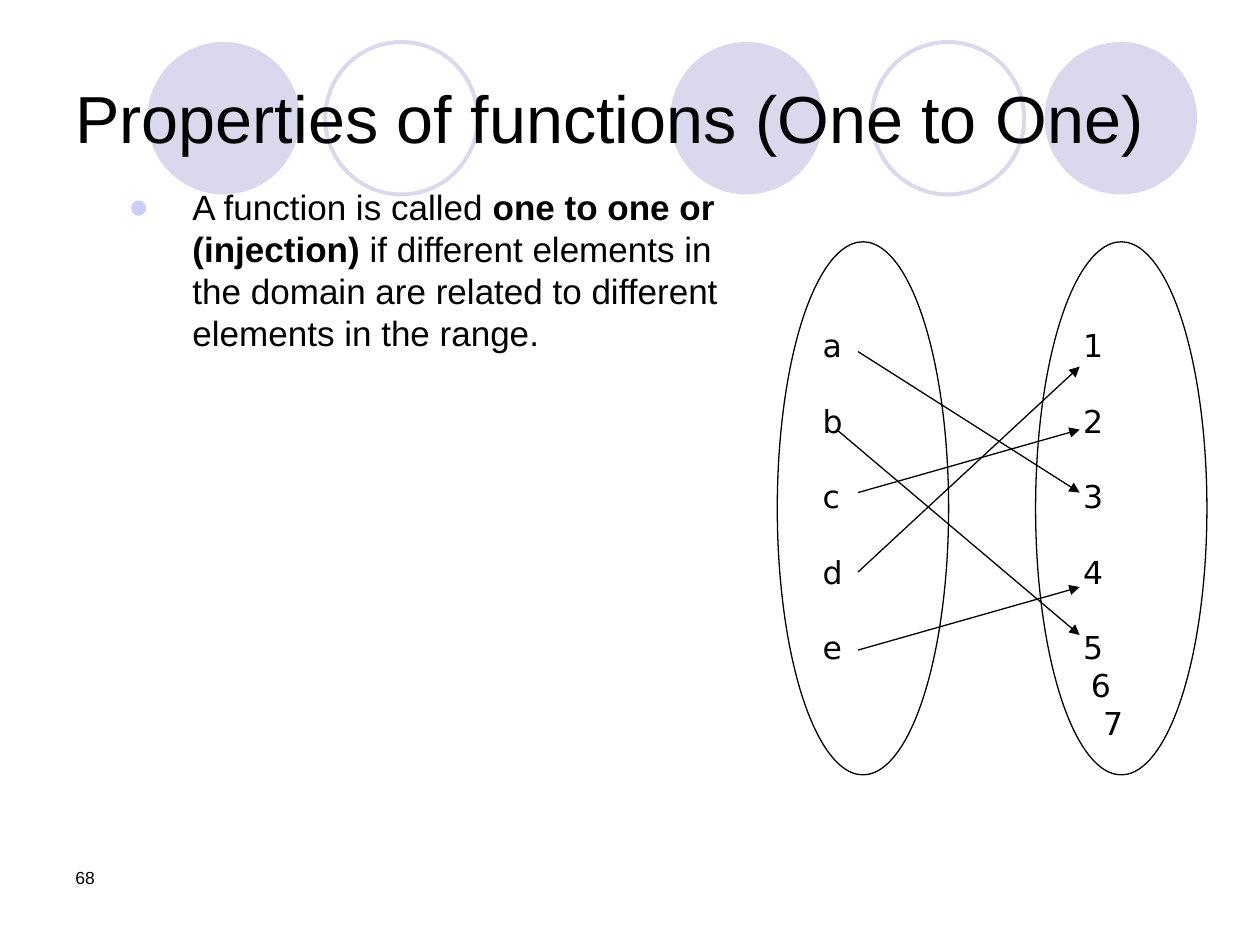
from dataclasses import dataclass

from lxml.etree import SubElement
from pptx import Presentation
from pptx.dml.color import RGBColor as Rgb
from pptx.enum.shapes import MSO_CONNECTOR as Link, MSO_SHAPE as Kind
from pptx.enum.text import MSO_ANCHOR as Anchor, PP_ALIGN as Align
from pptx.oxml.ns import qn
from pptx.util import Pt


@dataclass(frozen=True)
class Theme:
    ink: str = "000000"
    paper: str = "FFFFFF"
    lilac: str = "D9D8EC"
    dot: str = "CCCCFF"
    sans: str = "Arial"
    label: str = "DejaVu Sans"
    title: float = 38
    body: float = 20
    item: float = 18
    small: float = 10
    thin: float = 0.75
    ring: float = 2.25


def write(para, text, font, size, color, bold=False):
    run = para.add_run()
    run.text = text
    run.font.name = font
    run.font.size = Pt(size)
    run.font.bold = bold
    run.font.color.rgb = Rgb.from_string(color)


class Page:
    def __init__(self, slide, theme):
        self.slide = slide
        self.theme = theme

    def oval(self, x, y, w, h, fill=None, line=None, width=0):
        shape = self.slide.shapes.add_shape(Kind.OVAL, Pt(x), Pt(y), Pt(w), Pt(h))
        shape.shadow.inherit = False
        if fill:
            shape.fill.solid()
            shape.fill.fore_color.rgb = Rgb.from_string(fill)
        else:
            shape.fill.background()
        if line:
            shape.line.color.rgb = Rgb.from_string(line)
            shape.line.width = Pt(width)
        else:
            shape.line.fill.background()
        return shape

    def text(self, x, y, w, h, runs, size, anchor=Anchor.TOP):
        box = self.slide.shapes.add_textbox(Pt(x), Pt(y), Pt(w), Pt(h))
        frame = box.text_frame
        frame.word_wrap = True
        frame.vertical_anchor = anchor
        para = frame.paragraphs[0]
        for words, bold in runs:
            write(para, words, font=self.theme.sans, size=size,
                  color=self.theme.ink, bold=bold)
        return para

    def bullet(self, para, indent, pitch):
        para.line_spacing = Pt(pitch)
        props = para._p.get_or_add_pPr()
        props.set("marL", str(Pt(indent)))
        props.set("indent", str(-Pt(indent)))
        tint = SubElement(props, qn("a:buClr"))
        SubElement(tint, qn("a:srgbClr")).set("val", self.theme.dot)
        SubElement(props, qn("a:buFont")).set("typeface", self.theme.sans)
        SubElement(props, qn("a:buChar")).set("char", "●")

    def group(self, x, y, w, h, items, pitch):
        theme = self.theme
        shape = self.oval(x, y, w, h, theme.paper, theme.ink, theme.thin)
        frame = shape.text_frame
        frame.word_wrap = True
        frame.vertical_anchor = Anchor.TOP
        for i, (name, indent, gap) in enumerate(items):
            para = frame.add_paragraph() if i else frame.paragraphs[0]
            para.alignment = Align.LEFT
            para.line_spacing = Pt(pitch)
            para.space_before = Pt(gap)
            para._p.get_or_add_pPr().set("marL", str(Pt(indent)))
            write(para, name, font=theme.label, size=theme.item, color=theme.ink)

    def arrow(self, x1, y1, x2, y2):
        line = self.slide.shapes.add_connector(
            Link.STRAIGHT, Pt(x1), Pt(y1), Pt(x2), Pt(y2))
        line.line.color.rgb = Rgb.from_string(self.theme.ink)
        line.line.width = Pt(self.theme.thin)
        SubElement(line.line._get_or_add_ln(), qn("a:tailEnd")).set("type", "triangle")
        SubElement(line._element.spPr, qn("a:effectLst"))


def main():
    deck = Presentation()
    deck.slide_width, deck.slide_height = Pt(720), Pt(540)
    theme = Theme()
    page = Page(deck.slides.add_slide(deck.slide_layouts[6]), theme)

    size = 87.1
    for x in (383, 596.9, 84.2):
        page.oval(x, 24, size, size, fill=theme.lilac)
    for x in (498.2, 185.8):
        page.oval(x, 24, size, size, line=theme.lilac, width=theme.ring)

    page.text(36, 491.8, 168, 36, [("68", False)], theme.small)
    page.text(36, 21.6, 648, 90, [("Properties of functions (One to One)", False)],
              theme.title, Anchor.MIDDLE)
    body = page.text(66.2, 102.2, 358.6, 390.2, [
        ("A function is called ", False),
        ("one to one or (injection)", True),
        (" if different elements in the domain are related to "
         "different elements in the range.", False),
    ], theme.body)
    page.bullet(body, indent=36.7, pitch=24)

    pitch = 21.6
    domain = [(name, 4.5, pitch if i else 0) for i, name in enumerate("abcde")]
    span = [(name, 5.7, pitch if i else 0) for i, name in enumerate("12345")]
    span += [("6", 10.2, 0), ("7", 17.2, 0)]
    for x, items in ((444.2, domain), (591.8, span)):
        page.group(x, 138.2, 97.9, 304.6, items, pitch)

    left, right = 490.3, 617
    for x, start, end in (
        (left, 200.9, 281.5),
        (left, 281.5, 245.5),
        (left, 326.9, 209.5),
        (478.1, 245.5, 362.9),
        (left, 371.5, 335.5),
    ):
        page.arrow(x, start, right, end)

    deck.save("out.pptx")


if __name__ == "__main__":
    main()
